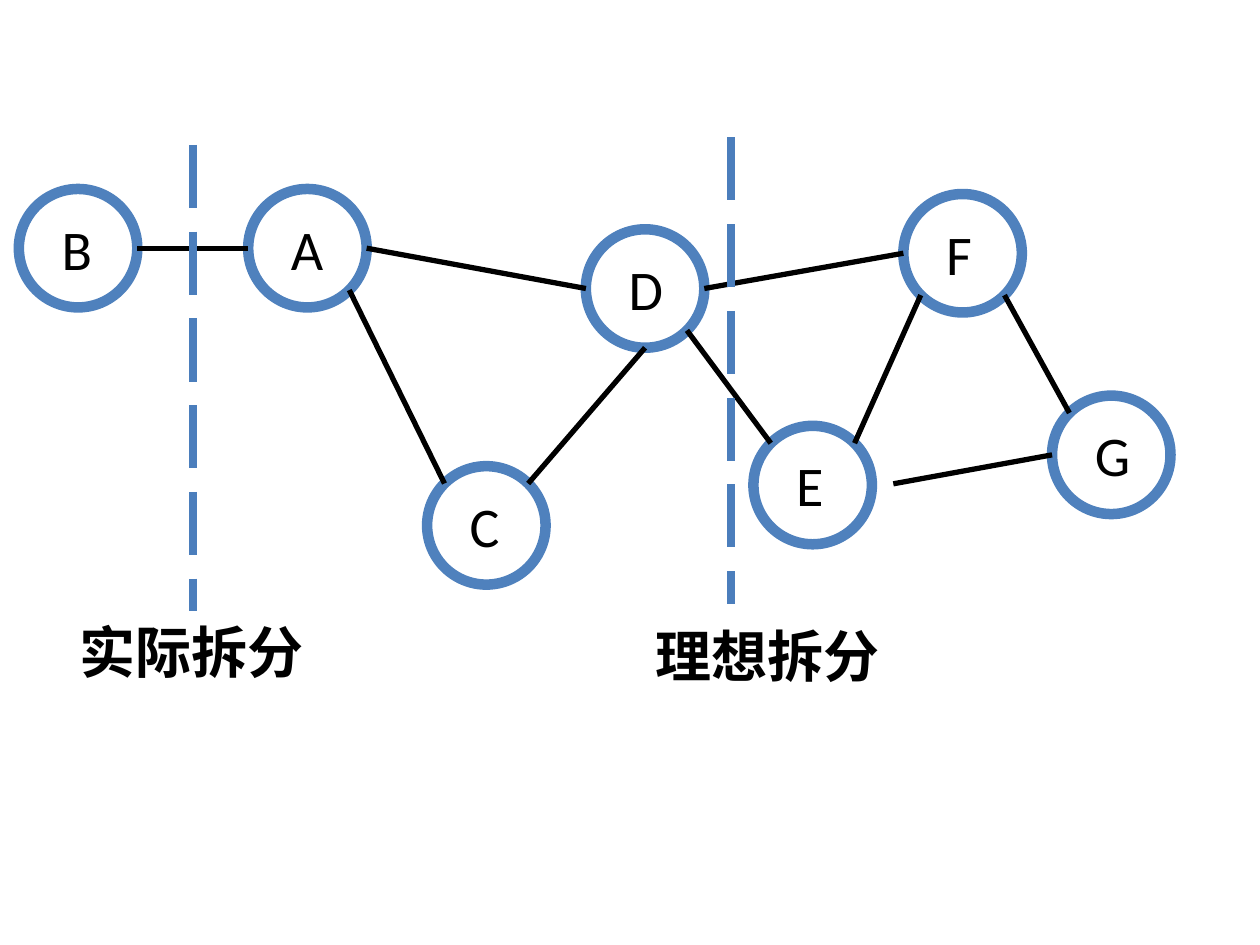
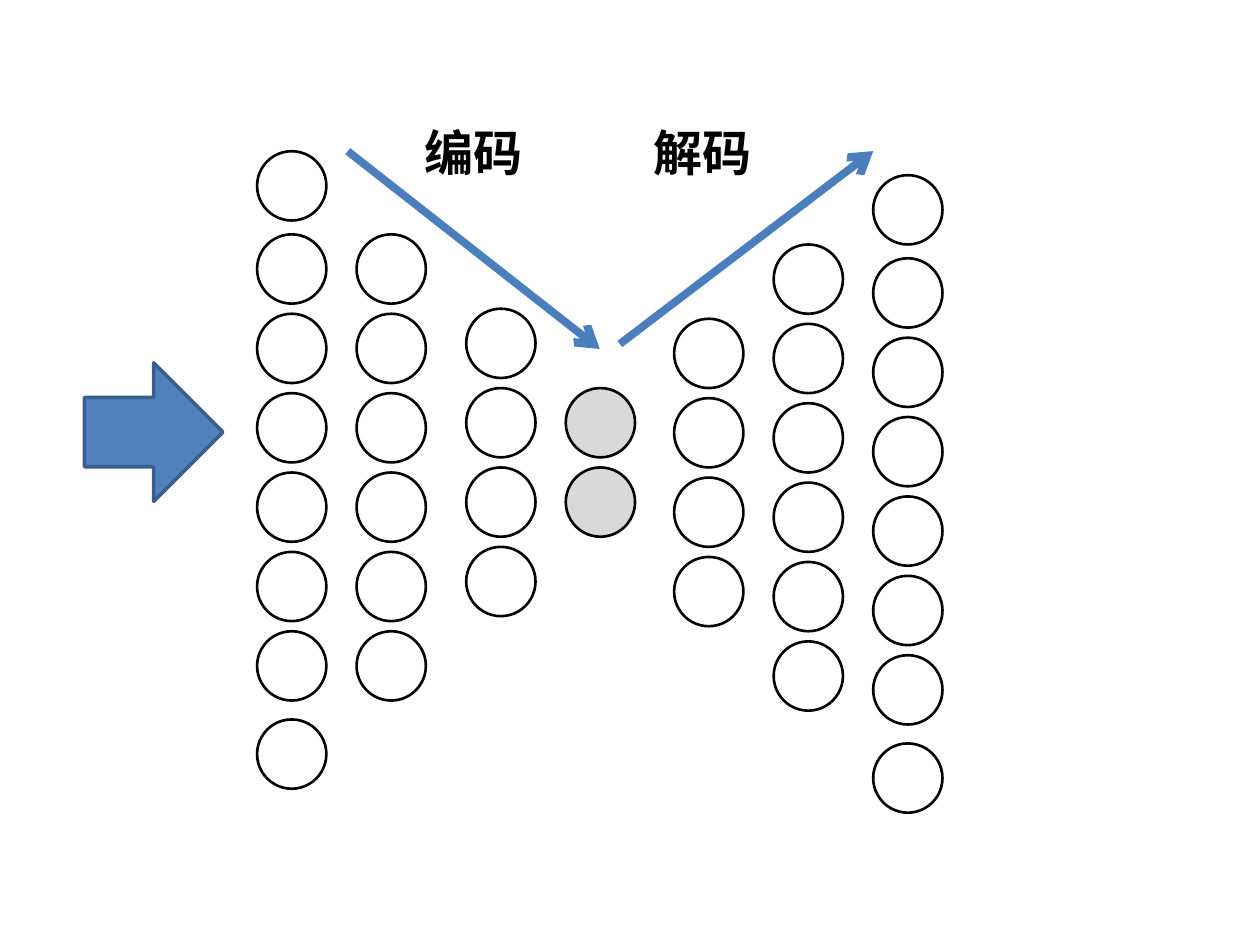
from dataclasses import dataclass
from math import cos, radians, sin

from pptx import Presentation
from pptx.dml.color import RGBColor
from pptx.enum.dml import MSO_LINE
from pptx.enum.shapes import MSO_CONNECTOR, MSO_SHAPE
from pptx.enum.text import MSO_AUTO_SIZE
from pptx.oxml.xmlchemy import OxmlElement
from pptx.util import Inches, Pt


@dataclass(frozen=True)
class Theme:
    """Colours, type and line widths shared by both slides."""
    font: str = "Calibri"
    black: RGBColor = RGBColor(0x00, 0x00, 0x00)
    blue: RGBColor = RGBColor(0x4F, 0x81, 0xBD)
    stroke: RGBColor = RGBColor(0x4B, 0x7E, 0xBC)
    dark_blue: RGBColor = RGBColor(0x3A, 0x5F, 0x8C)
    grey: RGBColor = RGBColor(0xD9, 0xD9, 0xD9)
    large: int = 32
    medium: int = 28
    thin: float = 1.5
    outline: float = 2
    edge: float = 3
    heavy: float = 4.5
    ring: float = 6


T = Theme()
NODE = 0.94    # diameter of a graph node
NEURON = 0.55  # diameter of a network unit
STEP = 0.63    # vertical pitch of network units

# Node name: left, top, width of its letter box
NODES = {
    "A": (1.97, 1.5, 0.46), "B": (0.15, 1.5, 0.45), "C": (3.39, 3.7, 0.44),
    "D": (4.65, 1.82, 0.48), "E": (5.98, 3.38, 0.42), "F": (7.17, 1.54, 0.41),
    "G": (8.35, 3.14, 0.49),
}
# Start node, angle on its rim, end node, angle on its rim (clockwise from right)
EDGES = [
    ("B", 0, "A", 180), ("A", 0, "D", 180), ("D", 90, "C", 315),
    ("D", 0, "F", 180), ("D", 45, "E", 225), ("G", 225, "F", 45),
    ("E", 315, "F", 135), ("A", 45, "C", 225),
]


def add_shape(slide, kind, left, top, size, color, width, fill=None):
    """Draw a square-boxed preset shape, hollow unless a fill is given."""
    sp = slide.shapes.add_shape(kind, Inches(left), Inches(top),
                                Inches(size), Inches(size))
    sp.shadow.inherit = False
    if fill is None:
        sp.fill.background()
    else:
        sp.fill.solid()
        sp.fill.fore_color.rgb = fill
    sp.line.color.rgb = color
    sp.line.width = Pt(width)


def add_line(slide, start, end, color, width, dash=None, arrow=False):
    """Draw a straight line, optionally dashed or with an arrowhead at its end."""
    x1, y1, x2, y2 = (Inches(v) for v in (*start, *end))
    cxn = slide.shapes.add_connector(MSO_CONNECTOR.STRAIGHT, x1, y1, x2, y2)
    cxn.line.color.rgb = color
    cxn.line.width = Pt(width)
    if dash is not None:
        cxn.line.dash_style = dash
    if arrow:
        tail = OxmlElement("a:tailEnd")
        tail.set("type", "arrow")
        cxn.line._get_or_add_ln().append(tail)
    cxn._element.spPr.append(OxmlElement("a:effectLst"))


def add_text(slide, text, left, top, width, height, size, bold=False, wrap=True):
    """Place one line of black text."""
    tf = slide.shapes.add_textbox(Inches(left), Inches(top),
                                  Inches(width), Inches(height)).text_frame
    tf.word_wrap = wrap
    tf.auto_size = MSO_AUTO_SIZE.SHAPE_TO_FIT_TEXT
    tf.text = text
    font = tf.paragraphs[0].runs[0].font
    font.name, font.size, font.bold = T.font, Pt(size), bold
    font.color.rgb = T.black


def add_node(slide, name, left, top, letter_width):
    """Draw a ringed graph node and its letter."""
    add_shape(slide, MSO_SHAPE.OVAL, left, top, NODE, T.blue, T.ring)
    add_text(slide, name, left + 0.24, top + 0.15, letter_width, 0.64,
             T.large, wrap=False)


def rim(name, angle):
    """Return the point on a node's rim at the given angle."""
    left, top, _ = NODES[name]
    r = NODE / 2
    return left + r + r * cos(radians(angle)), top + r + r * sin(radians(angle))


def add_split(slide, x, top, label, label_left, label_top):
    """Draw a dashed dividing line and the label beneath it."""
    add_line(slide, (x, top), (x, top + 3.7), T.stroke, T.heavy,
             MSO_LINE.LONG_DASH)
    add_text(slide, label, label_left, label_top, 2.55, 0.64, T.large, bold=True)


def add_layer(slide, left, top, count, fill=None, outer=False):
    """Stack units at an even pitch; an outer layer has one more at each end."""
    tops = [top + i * STEP for i in range(count)]
    if outer:
        tops = [top - 0.66, *tops, tops[-1] + 0.7]
    for y in tops:
        add_shape(slide, MSO_SHAPE.OVAL, left, y, NEURON, T.black, T.thin, fill)


def add_stage(slide, label, label_left, start, end):
    """Draw a stage's label and its direction arrow."""
    add_text(slide, label, label_left, 0.92, 1.22, 0.57, T.medium, bold=True)
    add_line(slide, start, end, T.stroke, T.heavy, arrow=True)


def graph_slide(prs):
    """Build the graph with its actual and ideal split."""
    slide = prs.slides.add_slide(prs.slide_layouts[6])
    for name, box in NODES.items():
        add_node(slide, name, *box)
    for start, a, end, b in EDGES:
        add_line(slide, rim(start, a), rim(end, b), T.black, T.edge)
    # The E-G edge begins a little clear of E
    add_line(slide, (7.09, 3.84), rim("G", 180), T.black, T.edge)
    add_split(slide, 1.53, 1.15, "实际拆分", 0.53, 4.85)
    add_split(slide, 5.8, 1.09, "理想拆分", 5.1, 4.88)


def autoencoder_slide(prs):
    """Build the encoder and decoder network."""
    slide = prs.slides.add_slide(prs.slide_layouts[6])
    add_layer(slide, 2.04, 1.86, 6, outer=True)
    add_layer(slide, 2.83, 1.86, 6)
    add_layer(slide, 3.7, 2.45, 4)
    add_layer(slide, 4.49, 3.08, 2, fill=T.grey)
    add_layer(slide, 5.35, 2.53, 4)
    add_layer(slide, 6.14, 1.94, 6)
    add_layer(slide, 6.93, 2.05, 6, outer=True)
    add_shape(slide, MSO_SHAPE.RIGHT_ARROW, 0.67, 2.88, 1.1,
              T.dark_blue, T.outline, T.blue)
    add_stage(slide, "编码", 3.27, (2.76, 1.2), (4.76, 2.77))
    add_stage(slide, "解码", 5.09, (4.92, 2.73), (6.93, 1.2))


prs = Presentation()
prs.slide_width, prs.slide_height = Inches(10), Inches(7.5)
graph_slide(prs)
autoencoder_slide(prs)
prs.save("out.pptx")
